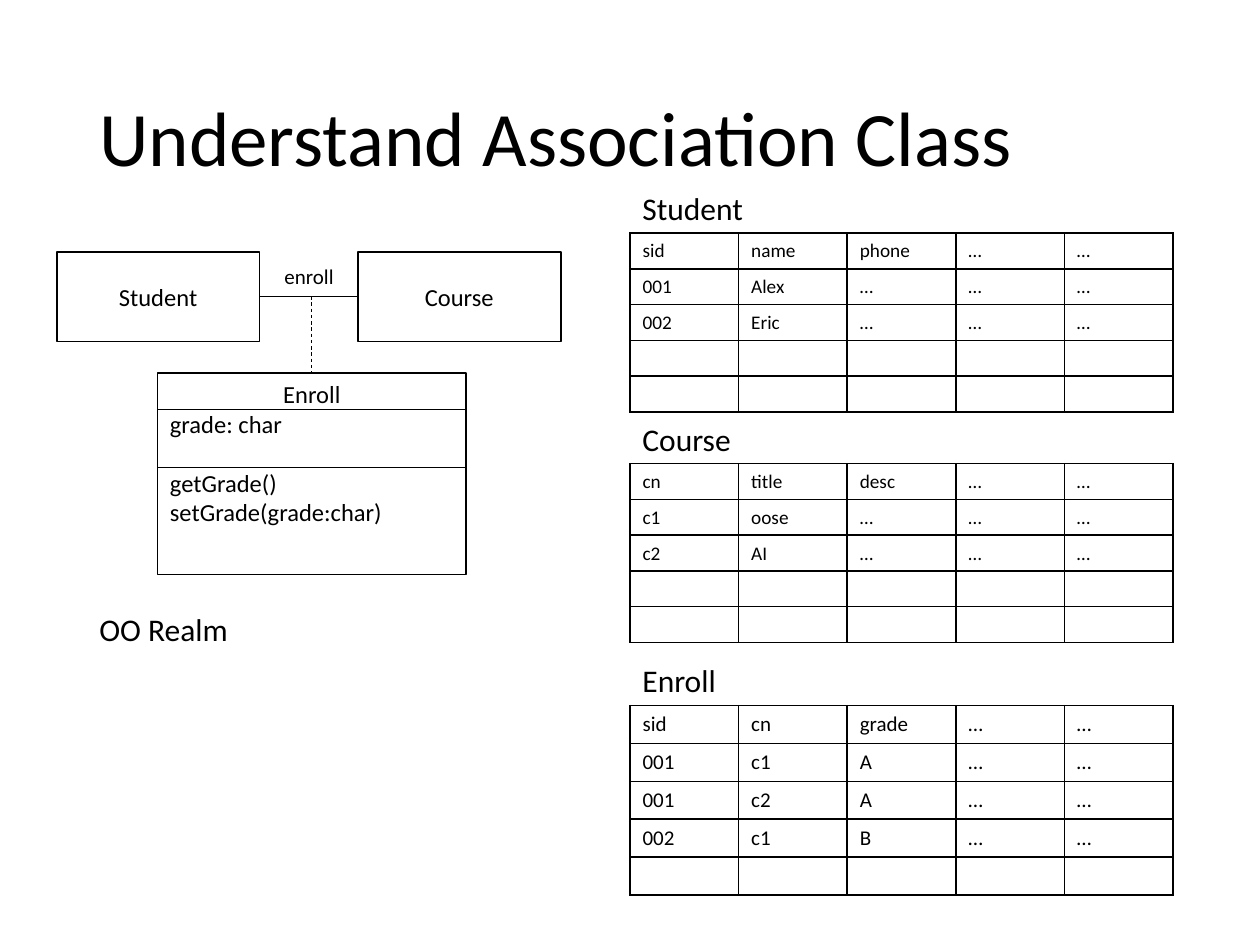
from dataclasses import dataclass

from lxml import etree
from pptx import Presentation
from pptx import util as u
from pptx.dml.color import RGBColor
from pptx.enum import dml, shapes, text
from pptx.oxml import ns


@dataclass(frozen=True)
class Theme:
    """Colours, font and type sizes of the slide."""
    ink: RGBColor = RGBColor(0, 0, 0)
    paper: RGBColor = RGBColor(255, 255, 255)
    font: str = "Calibri"
    title: int = 44
    heading: int = 18
    body: int = 14
    label: int = 12
    small: int = 11
    outline: float = 1
    hairline: float = 0.5


THEME = Theme()


def set_values(target, values):
    """Set every attribute named in a dict of format values."""
    for name, value in values.items():
        setattr(target, name, value)


def add_span(para, words, size):
    """Add one run of text in the theme font."""
    span = para.add_run()
    span.text = words
    set_values(span.font, {"name": THEME.font, "size": u.Pt(size)})
    span.font.color.rgb = THEME.ink


def add_label(page, words, left, top, width, height, size, **paragraph):
    """Place a line of plain text in a text box."""
    frame = page.shapes.add_textbox(
        *map(u.Inches, (left, top, width, height))).text_frame
    set_values(frame, {"word_wrap": True,
                       "vertical_anchor": text.MSO_ANCHOR.MIDDLE})
    set_values(frame.paragraphs[0], paragraph)
    add_span(frame.paragraphs[0], words, size)


def add_box(page, left, top, width, height, lines, anchor):
    """Place an outlined box; each line is (words, paragraph format)."""
    box = page.shapes.add_shape(shapes.MSO_SHAPE.RECTANGLE,
                                *map(u.Inches, (left, top, width, height)))
    box.shadow.inherit = False
    box.fill.solid()
    box.fill.fore_color.rgb = THEME.paper
    box.line.color.rgb = THEME.ink
    box.line.width = u.Pt(THEME.outline)
    frame = box.text_frame
    frame.vertical_anchor = anchor
    for index, (words, form) in enumerate(lines):
        para = frame.add_paragraph() if index else frame.paragraphs[0]
        set_values(para, form)
        add_span(para, words, THEME.body)


def add_rule(page, x1, y1, x2, y2, dash=None):
    """Draw a thin straight line, dashed on request."""
    rule = page.shapes.add_connector(shapes.MSO_CONNECTOR.STRAIGHT,
                                     *map(u.Inches, (x1, y1, x2, y2)))
    rule.line.color.rgb = THEME.ink
    rule.line.width = u.Pt(THEME.hairline)
    if dash:
        rule.line.dash_style = dash
    etree.SubElement(rule._element.spPr, ns.qn("a:effectLst"))


def add_class_diagram(page, left, top):
    """Draw two associated classes and their association class."""
    width, height, gap = 1.61, 0.71, 0.78
    centred = {"alignment": text.PP_ALIGN.CENTER}
    flush = {"alignment": text.PP_ALIGN.LEFT}
    for index, name in enumerate(("Student", "Course")):
        add_box(page, left + index * (width + gap), top, width, height,
                [(name, centred)], text.MSO_ANCHOR.MIDDLE)

    link_left, link_y = left + width, top + 0.35
    class_left, class_top, class_width = left + 0.8, top + 0.96, 2.45
    class_middle = class_left + class_width / 2
    members = [("Enroll", centred), ("grade: char", flush),
               ("getGrade()", {**flush, "space_before": u.Pt(17)}),
               ("setGrade(grade:char)", flush)]
    add_box(page, class_left, class_top, class_width, 1.6, members,
            text.MSO_ANCHOR.TOP)
    for offset in (0.29, 0.75):
        add_rule(page, class_left, class_top + offset,
                 class_left + class_width, class_top + offset)
    add_rule(page, link_left, link_y, link_left + gap, link_y)
    add_rule(page, class_middle, link_y, class_middle, class_top,
             dml.MSO_LINE.DASH)
    add_label(page, "enroll", link_left + 0.1, top + 0.04, 0.64, 0.3,
              THEME.label)


def style_cell(cell, words, size):
    """Give a cell its borders, fill and text."""
    props = cell._tc.get_or_add_tcPr()
    for side in ("lnL", "lnR", "lnT", "lnB"):
        border = etree.SubElement(props, ns.qn(f"a:{side}"),
                                  w=str(u.Pt(THEME.outline)))
        paint = etree.SubElement(border, ns.qn("a:solidFill"))
        etree.SubElement(paint, ns.qn("a:srgbClr"), val=str(THEME.ink))
    cell.fill.solid()
    cell.fill.fore_color.rgb = THEME.paper
    para = cell.text_frame.paragraphs[0]
    if words:
        add_span(para, words, size)
    else:
        end = etree.SubElement(para._p, ns.qn("a:endParaRPr"),
                               sz=str(size * 100))
        etree.SubElement(end, ns.qn("a:latin"), typeface=THEME.font)


def add_relation(page, left, top, height, name, records, size):
    """Place a named table of five columns, its name just above it."""
    columns, rows, width = 5, 5, 4.31
    add_label(page, name, left, top - 0.4, 1.38, 0.4, THEME.heading)
    table = page.shapes.add_table(
        rows, columns, *map(u.Inches, (left, top, width, height))).table
    set_values(table, {"first_row": False, "horz_banding": False})
    for column in table.columns:
        column.width = u.Inches(width / columns)
    for index, row in enumerate(table.rows):
        row.height = u.Inches(height / rows)
        record = records[index] if index < len(records) else ()
        if record:
            record = record + ("…",) * (columns - len(record))
        else:
            record = ("",) * columns
        for cell, words in zip(row.cells, record):
            style_cell(cell, words, size)


RELATIONS = [
    (1.85, 1.42, "Student",
     [("sid", "name", "phone"), ("001", "Alex"), ("002", "Eric")],
     THEME.small),
    (3.68, 1.42, "Course",
     [("cn", "title", "desc"), ("c1", "oose"), ("c2", "AI")], THEME.small),
    (5.6, 1.5, "Enroll",
     [("sid", "cn", "grade"), ("001", "c1", "A"), ("001", "c2", "A"),
      ("002", "c1", "B")], THEME.label),
]


def build():
    """Build the slide and save the deck."""
    deck = Presentation()
    set_values(deck, {"slide_width": u.Inches(10),
                      "slide_height": u.Inches(7.5)})
    page = deck.slides.add_slide(deck.slide_layouts[6])
    add_label(page, "Understand Association Class", 0.69, 0.4, 8.62, 1.45,
              THEME.title, line_spacing=0.9)
    add_class_diagram(page, 0.45, 2)
    add_label(page, "OO Realm", 0.69, 4.79, 1.37, 0.4, THEME.heading)
    for relation in RELATIONS:
        add_relation(page, 5, *relation)
    deck.save("out.pptx")


build()
